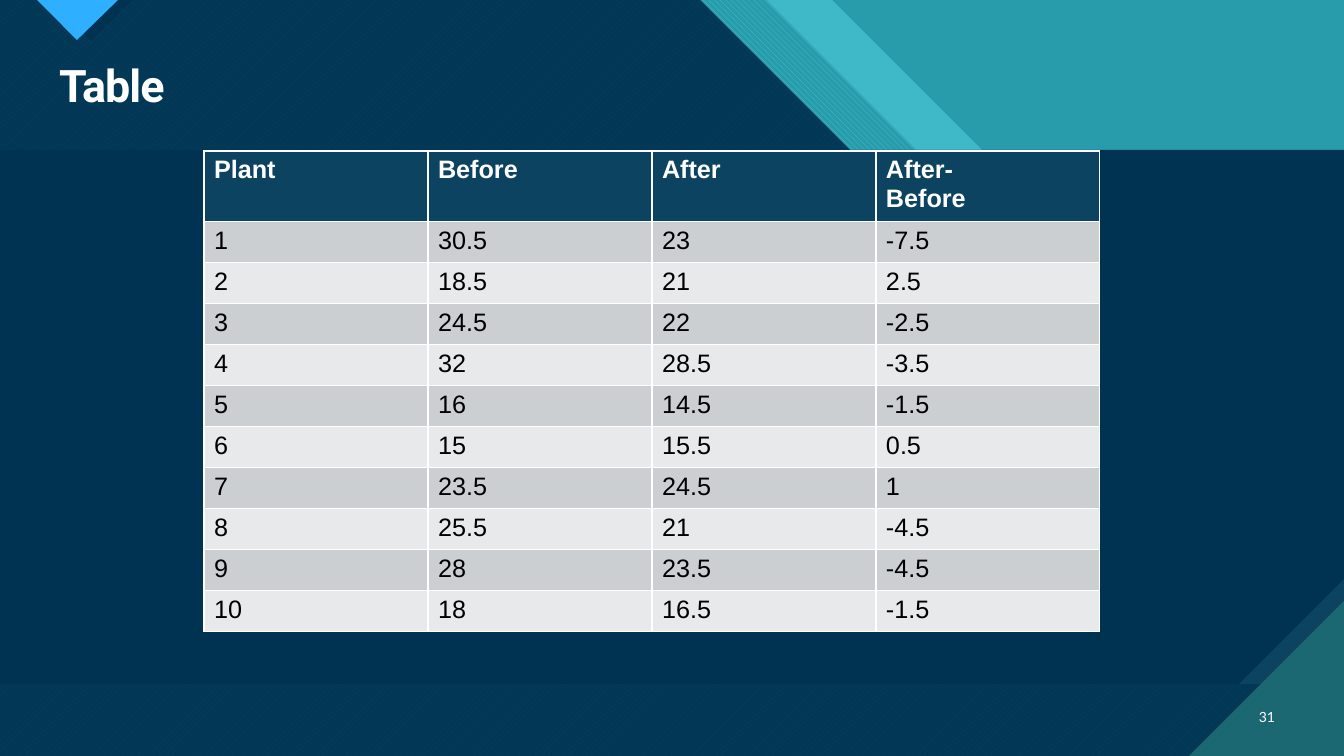
"""Build the plant measurement table slide with its diagonal ribbon backdrop."""
from lxml import etree
from pptx import Presentation
from pptx.dml.color import RGBColor
from pptx.enum.dml import MSO_PATTERN
from pptx.enum.text import MSO_ANCHOR, MSO_AUTO_SIZE, PP_ALIGN
from pptx.oxml.ns import qn
from pptx.util import Pt

SCALE = 914400 / 100.8
WIDTH, HEIGHT = 1344, 756
LEFT, RIGHT = PP_ALIGN.LEFT, PP_ALIGN.RIGHT
TOP, MIDDLE = MSO_ANCHOR.TOP, MSO_ANCHOR.MIDDLE
NO_AUTOSIZE = MSO_AUTO_SIZE.NONE
DOWN_STRIPES = MSO_PATTERN.WIDE_DOWNWARD_DIAGONAL
UP_STRIPES = MSO_PATTERN.WIDE_UPWARD_DIAGONAL

WHITE, BLACK = "FFFFFF", "000000"
NAVY, BLUE, SKY = "003352", "0C4360", "2FAFFF"
TEAL, AQUA, PINE = "299CAB", "47C3D3", "1B6872"
BANDS = ("CCCFD2", "E7E9EA")

HEADINGS = ("Plant", "Before", "After", "After-\nBefore")
PLANTS = (
    ("1", "30.5", "23", "-7.5"),
    ("2", "18.5", "21", "2.5"),
    ("3", "24.5", "22", "-2.5"),
    ("4", "32", "28.5", "-3.5"),
    ("5", "16", "14.5", "-1.5"),
    ("6", "15", "15.5", "0.5"),
    ("7", "23.5", "24.5", "1"),
    ("8", "25.5", "21", "-4.5"),
    ("9", "28", "23.5", "-4.5"),
    ("10", "18", "16.5", "-1.5"),
)


def px(length):
    """Turn pixels into EMU."""
    return round(length * SCALE)


def colour(value):
    """Turn a hex string into a colour."""
    return RGBColor.from_string(value)


def paint(fill, value):
    """Give a fill one solid colour."""
    fill.solid()
    fill.fore_color.rgb = colour(value)


def add_polygon(page, points, value, opacity=100):
    """Draw a closed outline in one colour."""
    builder = page.shapes.build_freeform(*points[0], scale=SCALE)
    builder.add_line_segments(points[1:], close=True)
    polygon = builder.convert_to_shape()
    polygon.shadow.inherit = False
    polygon.line.fill.background()
    paint(polygon.fill, value)
    if opacity < 100:
        tint = polygon.fill._xPr.find(".//" + qn("a:srgbClr"))
        etree.SubElement(tint, qn("a:alpha"), val=str(opacity * 1000))
    return polygon


def add_ribbon(page, top, shoulder, edge, value, opacity=100):
    """Draw a backdrop layer with a slanted right side."""
    points = [(0, 0), (top, 0), (top + 300, 300), (shoulder, 300),
              (WIDTH, edge), (WIDTH, HEIGHT), (0, HEIGHT)]
    return add_polygon(page, points, value, opacity)


def add_stripes(shape, pattern, front, back):
    """Give a shape a two-colour pattern."""
    shape.fill.patterned()
    shape.fill.pattern = pattern
    shape.fill.fore_color.rgb = colour(front)
    shape.fill.back_color.rgb = colour(back)


def add_backdrop(page):
    """Draw the ribbons, the panel and the corner triangles."""
    paint(page.background.fill, TEAL)
    add_ribbon(page, 832, 1244, 400, AQUA, 74)
    add_stripes(add_ribbon(page, 766, 1193, 450, TEAL), DOWN_STRIPES, AQUA, TEAL)
    add_stripes(add_ribbon(page, 700, 1127, 517, PINE), UP_STRIPES, AQUA, PINE)
    add_ribbon(page, 700, 1127, 517, NAVY, 90)
    add_polygon(page, [(48, 0), (132, 0), (91, 41)], NAVY)
    add_polygon(page, [(37, 0), (118, 0), (77, 40)], SKY)
    add_polygon(page, [(0, 150), (WIDTH, 150), (WIDTH, 684), (0, 684)], BLUE)
    add_polygon(page, [(0, 150), (WIDTH, 150), (WIDTH, 579), (1239, 684),
                       (0, 684)], NAVY)
    add_polygon(page, [(1189, HEIGHT), (WIDTH, HEIGHT), (WIDTH, 601)], PINE)


def format_text(frame, font, size, value, bold=False, align=LEFT):
    """Set the font and alignment of every paragraph."""
    for paragraph in frame.paragraphs:
        paragraph.alignment = align
        paragraph.font.name = font
        paragraph.font.size = Pt(size)
        paragraph.font.bold = bold
        paragraph.font.color.rgb = colour(value)


def place_title(page, text):
    """Fill the title placeholder and bring it in front of the backdrop."""
    title = page.shapes.title
    title.left, title.top, title.width, title.height = map(px, (49, 59, 1236, 59))
    frame = title.text_frame
    frame.text = text
    frame.vertical_anchor = TOP
    frame.auto_size = NO_AUTOSIZE
    format_text(frame, "Roboto", 32, WHITE, bold=True)
    frame.paragraphs[0].line_spacing = 0.9
    frame.paragraphs[0].runs[0]._r.get_or_add_rPr().set("spc", "-70")
    page.shapes._spTree.append(title._element)


def add_page_number(page, number):
    """Write the page number in the lower right corner."""
    frame = page.shapes.add_textbox(*map(px, (1241, 697, 44, 40))).text_frame
    frame.word_wrap = True
    frame.vertical_anchor = MIDDLE
    frame.text = number
    format_text(frame, "Lato", 10, WHITE, align=RIGHT)


def add_plant_table(page):
    """Add the table of measurements with banded rows."""
    rows = (HEADINGS,) + PLANTS
    bounds = map(px, (204, 151, 896, 66 + 41 * len(PLANTS)))
    table = page.shapes.add_table(len(rows), len(HEADINGS), *bounds).table
    for column in table.columns:
        column.width = px(224)
    for index, texts in enumerate(rows):
        header = index == 0
        table.rows[index].height = px(66 if header else 41)
        for cell, text in zip(table.rows[index].cells, texts):
            cell.text = text
            paint(cell.fill, BLUE if header else BANDS[(index - 1) % 2])
            format_text(cell.text_frame, "Arial", 18,
                        WHITE if header else BLACK, bold=header)


def main():
    """Build and save the deck."""
    deck = Presentation()
    deck.slide_width, deck.slide_height = px(WIDTH), px(HEIGHT)
    page = deck.slides.add_slide(deck.slide_layouts[5])
    add_backdrop(page)
    place_title(page, "Table")
    add_page_number(page, "31")
    add_plant_table(page)
    deck.save("out.pptx")


if __name__ == "__main__":
    main()
